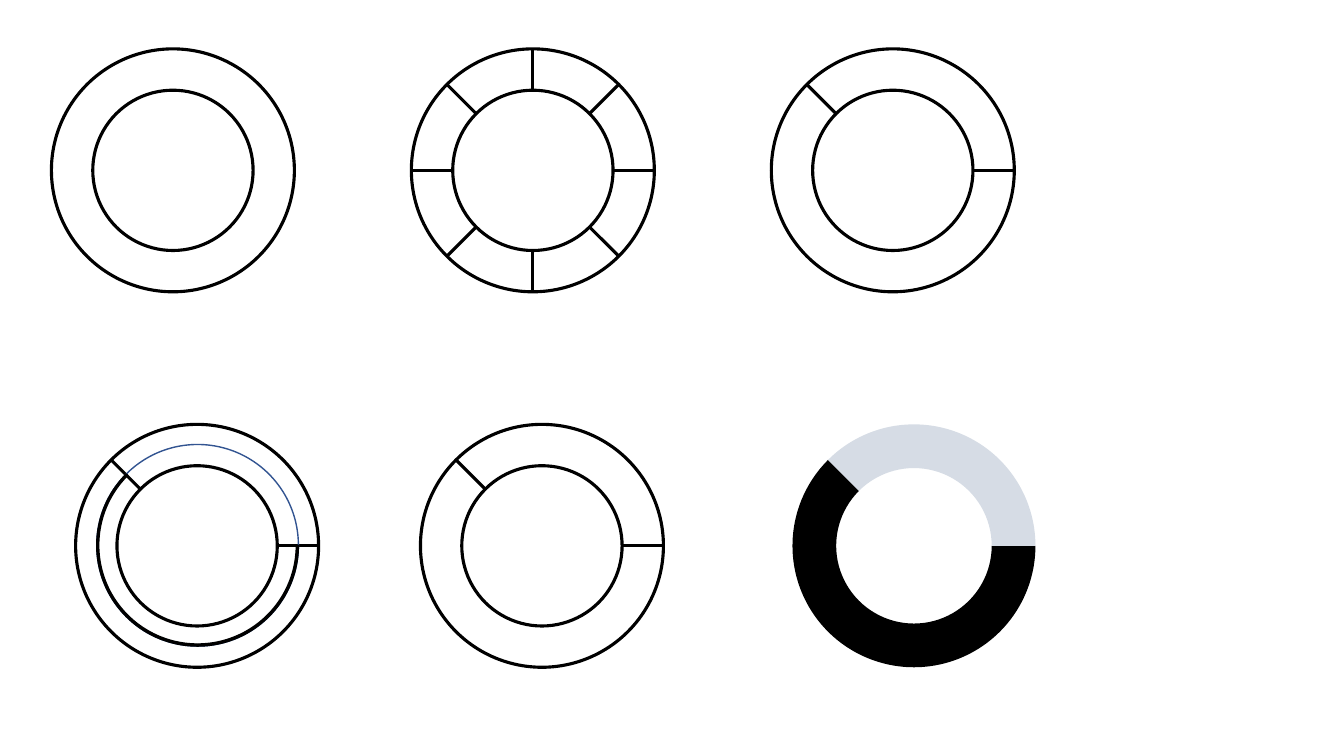
from math import cos, radians, sin
from pptx import Presentation
from pptx.dml.color import RGBColor
from pptx.enum.shapes import MSO_CONNECTOR as Link, MSO_SHAPE as Preset
from pptx.util import Inches, Pt
from lxml.etree import SubElement
from pptx.oxml.ns import qn

deck = Presentation()
deck.slide_width, deck.slide_height = Inches(13.33), Inches(7.5)
page = deck.slides.add_slide(deck.slide_layouts[6])

OUTER, INNER, MIDDLE = 1.205, 0.795, 1.0
TOP_ROW, BOTTOM_ROW = 1.69, 5.415
GAP_START, GAP_END = 225, 360
BLACK, BLUE, PALE = "000000", "325491", "D6DCE5"


def paint(part, color):
    part.solid()
    part.fore_color.rgb = RGBColor.from_string(color)


def add_round(shapes, preset, center, radius, fill=None, line=None, width=2.25):
    x, y = center
    shape = shapes.add_shape(preset, Inches(x - radius), Inches(y - radius),
                             Inches(2 * radius), Inches(2 * radius))
    shape.shadow.inherit = False
    for part, color in ((shape.fill, fill), (shape.line.fill, line)):
        if color:
            paint(part, color)
        else:
            part.background()
    if line:
        shape.line.width = Pt(width)
    return shape


cut = (GAP_START, GAP_END)
rings = [
    ((5.285, TOP_ROW), range(0, 360, 45)),
    ((1.715, TOP_ROW), ()),
    ((8.855, TOP_ROW), cut),
    ((1.955, BOTTOM_ROW), cut),
    ((5.375, BOTTOM_ROW), cut),
]
for center, angles in rings:
    ring = page.shapes.add_group_shape().shapes
    for radius in (OUTER, INNER):
        add_round(ring, Preset.OVAL, center, radius, line=BLACK)
    for angle in angles:
        ends = [Inches(middle + radius * turn(radians(angle)))
                for radius in (INNER, OUTER)
                for middle, turn in zip(center, (cos, sin))]
        spoke = ring.add_connector(Link.STRAIGHT, *ends)
        paint(spoke.line.fill, BLACK)
        spoke.line.width = Pt(2.25)
        SubElement(spoke.element.spPr, qn("a:effectLst"))

track, donut = (1.96, 5.41), (9.065, BOTTOM_ROW)
add_round(page.shapes, Preset.OVAL, track, MIDDLE, line=BLUE, width=1)
arcs = [
    (track, MIDDLE, BLACK, BLACK, (0, 135, 0.01)),
    (donut, OUTER, BLACK, None, (0, 135, 0.18)),
    (donut, OUTER, PALE, None, (135, 0, 0.18)),
]
for center, radius, fill, line, settings in arcs:
    arc = add_round(page.shapes, Preset.BLOCK_ARC, center, radius, fill, line, 1)
    for index, setting in enumerate(settings):
        arc.adjustments[index] = setting

deck.save("out.pptx")
